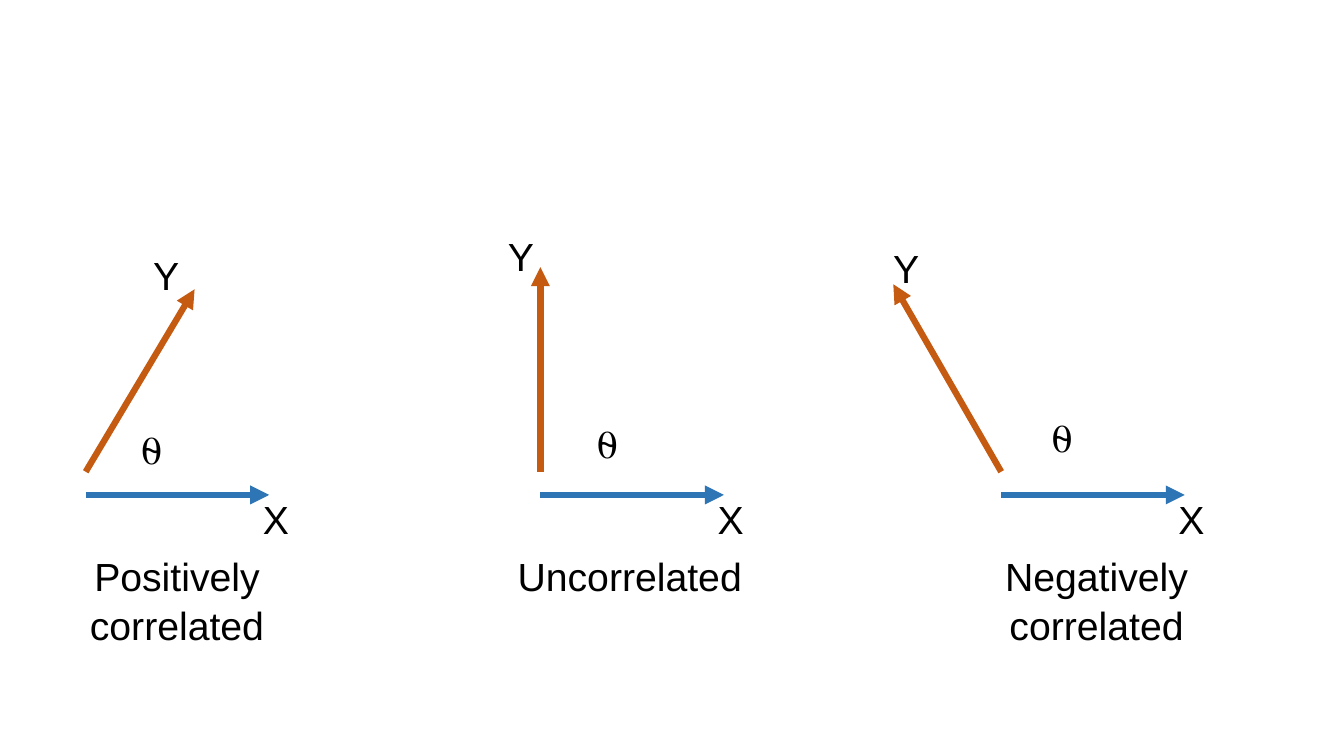
from lxml import etree
from pptx import Presentation
from pptx import util as u
from pptx.dml.color import RGBColor
from pptx.enum import shapes, text
from pptx.oxml.ns import qn

BLACK = RGBColor(0x00, 0x00, 0x00)
ORANGE = RGBColor(0xC5, 0x5A, 0x11)
BLUE = RGBColor(0x2E, 0x75, 0xB5)

WIDTH, HEIGHT = u.Inches(13.33), u.Inches(7.5)
COL, ROW = WIDTH / 13.33, HEIGHT / 7.5

Y_BASE, X_BASE = 4.68, 4.91
X_LENGTH = 1.82
LABEL_SIZE = (0.67, 0.57)
THETA_SIZE = (0.37, 0.43)
CAPTION_SIZE = (3.29, 1.3)

PANELS = [
    dict(left=0.85, caption="Positively\ncorrelated", caption_at=-0.74,
         y_tip=(1.08, 2.87), y_label=(0.57, 2.44), theta=(0.44, 4.17)),
    dict(left=5.36, caption="Uncorrelated", caption_at=-0.76,
         y_tip=(0, 2.65), y_label=(-0.42, 2.26), theta=(0.45, 4.11)),
    dict(left=9.93, caption="Negatively\ncorrelated", caption_at=-0.7,
         y_tip=(-1.07, 2.82), y_label=(-1.17, 2.37), theta=(0.39, 4.05)),
]


def grid(col, row):
    """Turn grid columns and rows into slide lengths."""
    return round(col * COL), round(row * ROW)


def add_arrow(s, start, end, color):
    """Draw a thick arrow between two grid points."""
    c = s.shapes.add_connector(shapes.MSO_CONNECTOR.STRAIGHT,
                               *grid(*start), *grid(*end))
    c.line.color.rgb = color
    c.line.width = u.Pt(4.5)
    etree.SubElement(c.line._get_or_add_ln(), qn("a:tailEnd"), type="triangle")
    etree.SubElement(c._element.spPr, qn("a:effectLst"))


def add_text(s, at, size, words, font="Arial", align=text.PP_ALIGN.LEFT):
    """Place a text box on the grid, one paragraph for each line."""
    tf = s.shapes.add_textbox(*grid(*at), *grid(*size)).text_frame
    tf.word_wrap = True
    tf.text = words
    for i, p in enumerate(tf.paragraphs):
        p.alignment = align
        if i:
            p.space_before = u.Pt(1.4)
        for r in p.runs:
            r.font.name = font
            r.font.size = u.Pt(28)
            r.font.color.rgb = BLACK


def add_panel(s, left, caption, caption_at, y_tip, y_label, theta):
    """Draw one pair of vectors with its labels, from its left column."""
    def place(col, row):
        return left + col, row

    add_arrow(s, place(0, Y_BASE), place(*y_tip), ORANGE)
    add_arrow(s, place(0, X_BASE), place(X_LENGTH, X_BASE), BLUE)
    add_text(s, place(*theta), THETA_SIZE, "⍬", "Times New Roman")
    add_text(s, place(1.66, 4.86), LABEL_SIZE, "X")
    add_text(s, place(*y_label), LABEL_SIZE, "Y")
    add_text(s, place(caption_at, 5.43), CAPTION_SIZE, caption,
             align=text.PP_ALIGN.CENTER)


def main():
    """Build the slide of correlated vectors and save it."""
    prs = Presentation()
    prs.slide_width, prs.slide_height = WIDTH, HEIGHT
    s = prs.slides.add_slide(prs.slide_layouts[6])
    for panel in PANELS:
        add_panel(s, **panel)
    prs.save("out.pptx")


if __name__ == "__main__":
    main()
